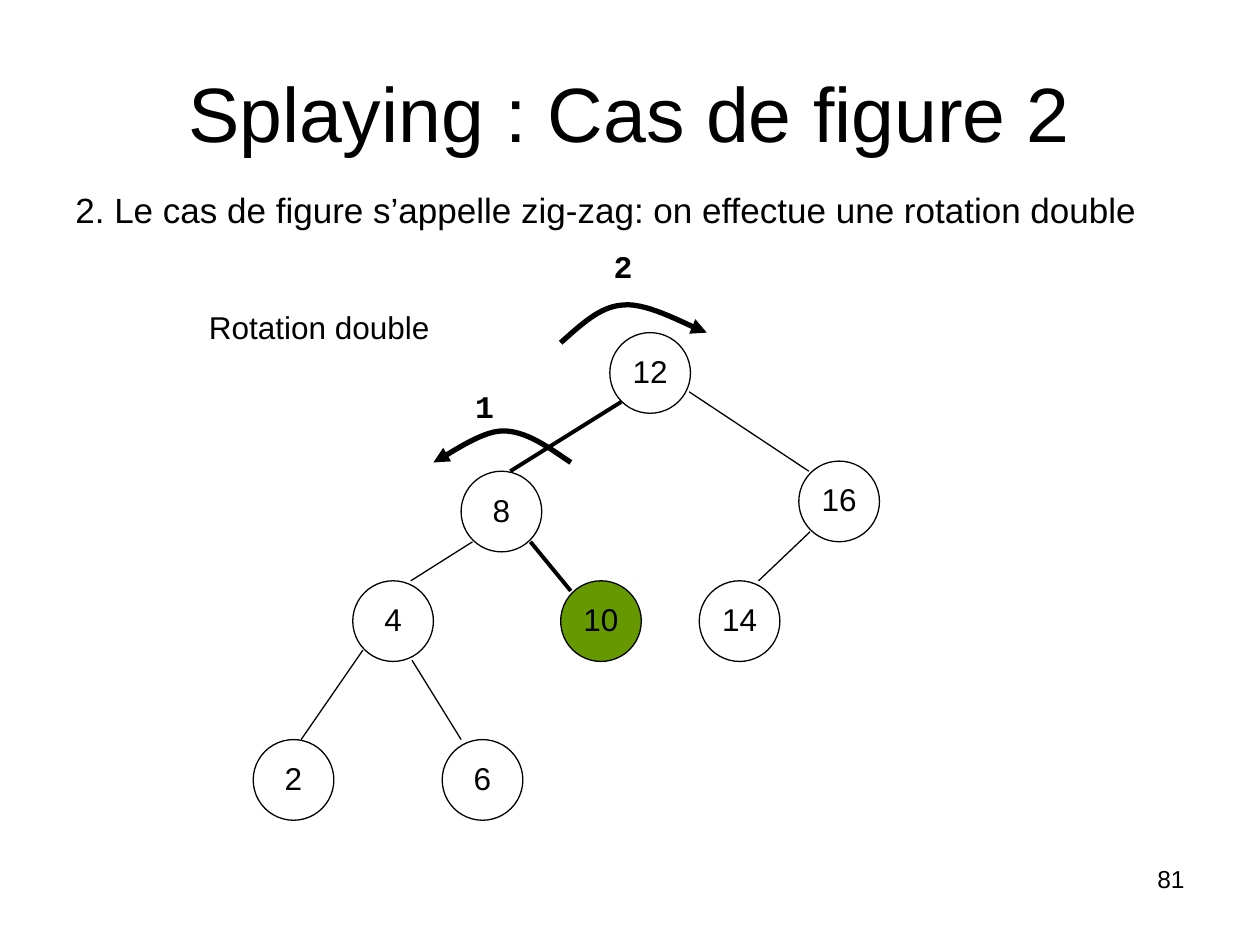
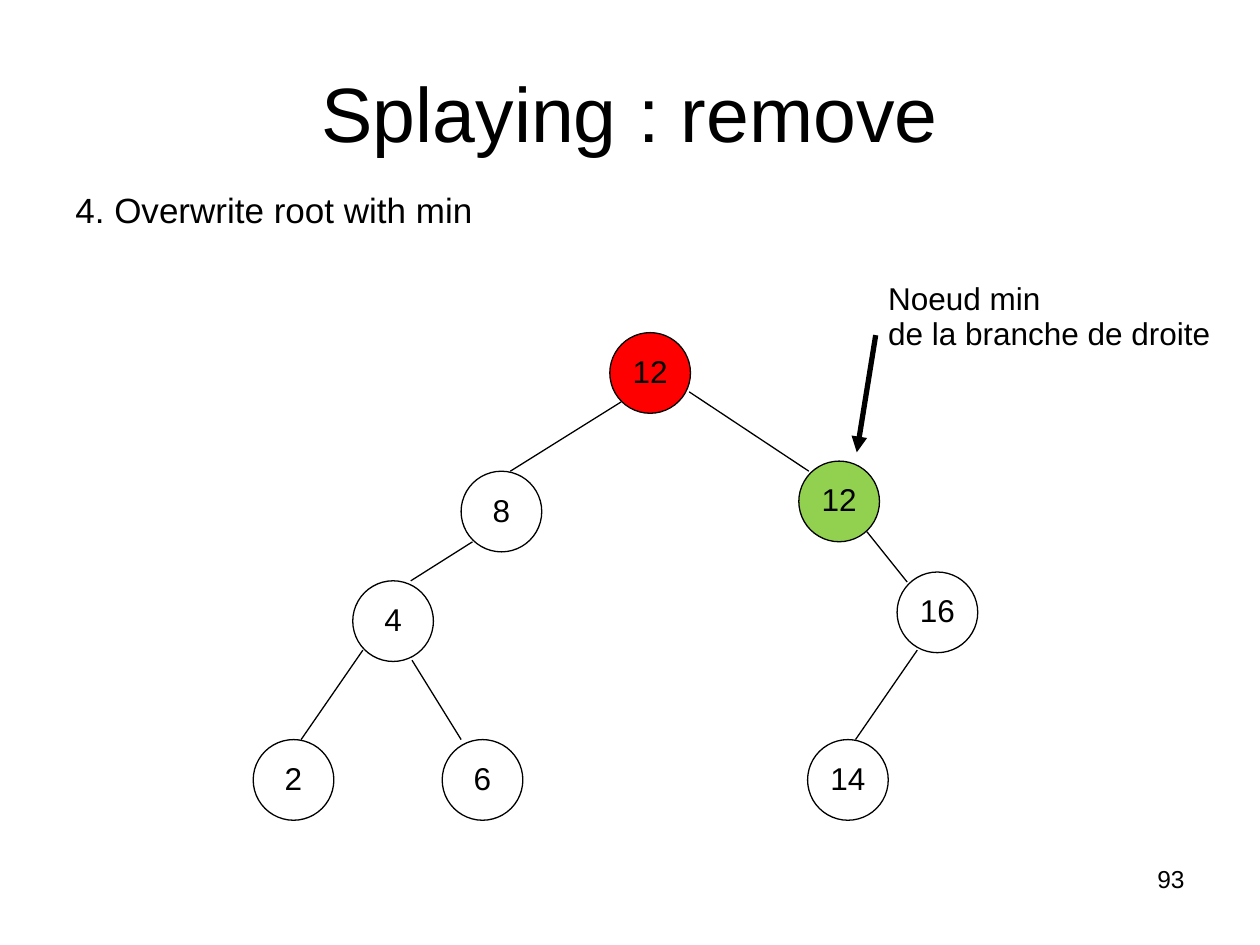
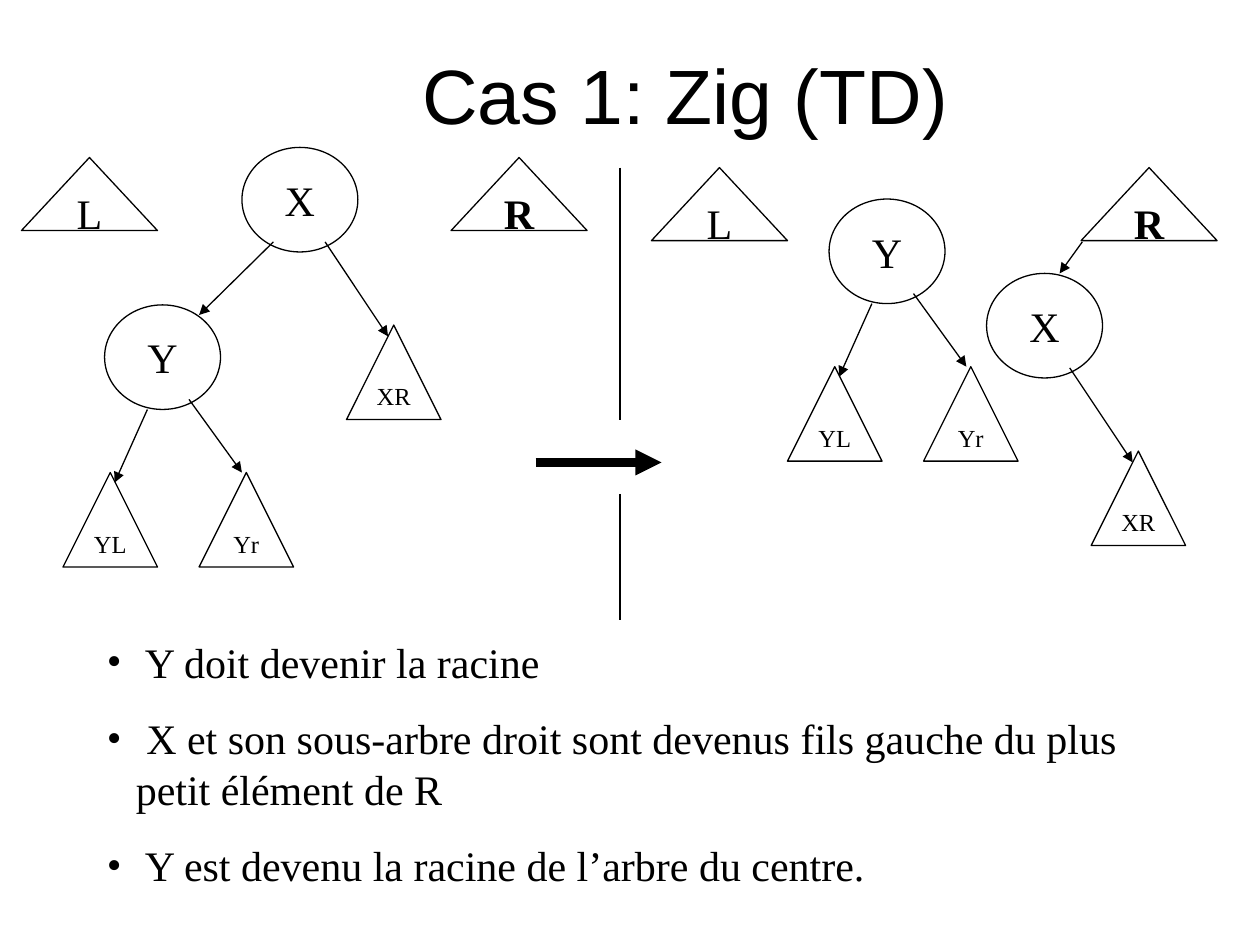
from pptx import Presentation
from pptx.dml.color import RGBColor
from pptx.enum.shapes import MSO_CONNECTOR, MSO_SHAPE
from pptx.enum.text import MSO_ANCHOR, MSO_AUTO_SIZE, PP_ALIGN
from pptx.oxml.ns import qn
from pptx.util import Inches, Pt
from lxml.etree import SubElement

BLACK, WHITE = "000000", "FFFFFF"
GREEN, RED, LIME = "669900", "FF0000", "92D050"
SANS, SERIF, MONO = "Arial", "Times New Roman", "Courier New"
LEFT, CENTER, RIGHT = PP_ALIGN.LEFT, PP_ALIGN.CENTER, PP_ALIGN.RIGHT
THIN, THICK, HEAVY = 0.75, 2.25, 3
TIGHT = 0.93
NODE = 0.64

# Nodes: label, left, top, fill. Edges: x1, y1, x2, y2, width.
COMMON_NODES = [
    ("8", 3.66, 3.74, None), ("4", 2.8, 4.61, None),
    ("2", 2.01, 5.87, None), ("6", 3.51, 5.87, None),
]
COMMON_EDGES = [
    (5.47, 3.11, 6.42, 3.74, THIN), (3.75, 4.3, 3.26, 4.61, THIN),
    (3.27, 5.24, 3.66, 5.87, THIN), (2.88, 5.16, 2.39, 5.87, THIN),
]
ROOT_TO_8 = (4.93, 3.19, 4.05, 3.74)

TREES = [
    {
        "title": "Splaying : Cas de figure 2",
        "step": "2. Le cas de figure s’appelle zig-zag: on effectue une rotation double",
        "number": "81",
        "nodes": [("12", 4.84, 2.64, None), ("10", 4.45, 4.61, GREEN),
                  ("16", 6.34, 3.66, None), ("14", 5.55, 4.61, None)],
        "edges": [(*ROOT_TO_8, THICK), (4.21, 4.3, 4.53, 4.69, THICK),
                  (6.43, 4.22, 6.02, 4.61, THIN)],
    },
    {
        "title": "Splaying : remove",
        "step": "4. Overwrite root with min",
        "number": "93",
        "nodes": [("12", 4.84, 2.64, RED), ("12", 6.34, 3.66, LIME),
                  ("16", 7.12, 4.54, None), ("14", 6.41, 5.87, None)],
        "edges": [(*ROOT_TO_8, THIN), (6.88, 4.22, 7.2, 4.62, THIN),
                  (7.28, 5.16, 6.79, 5.87, THIN)],
    },
]

# Rotation arrows: a start point, then cubic pieces of three points each.
ROTATIONS = [
    [(4.45, 2.72), (4.61, 2.58), (4.76, 2.43), (4.95, 2.42),
     (5.15, 2.4), (5.49, 2.6), (5.61, 2.64)],
    [(4.53, 3.67), (4.35, 3.55), (4.18, 3.42), (3.99, 3.42),
     (3.81, 3.42), (3.53, 3.63), (3.44, 3.67)],
]
ROTATION_LABELS = [("1", 3.67, 3.05), ("2", 4.77, 1.94)]

# Zig panels: top left corners of the L triangle, X and Y.
ZIG_PANELS = [
    {"L": (0.17, 1.25), "X": (1.92, 1.17), "Y": (0.83, 2.42)},
    {"L": (5.17, 1.33), "X": (7.83, 2.17), "Y": (6.58, 1.58)},
]
# Subtrees hung under a node, relative to its corner: label, place, arrow.
SUBTREES = {
    "X": [("XR", (0.83, 1.41), (0.66, 0.75, 1.16, 1.5))],
    "Y": [("YL", (-0.33, 1.33), (0.34, 0.83, 0.08, 1.41)),
          ("Yr", (0.75, 1.33), (0.67, 0.75, 1.09, 1.33))],
}
R_OFFSET = 3.41
ZIG_LINKS = [
    (2.17, 1.92, 1.58, 2.5, THIN, True), (8.59, 1.92, 8.41, 2.17, THIN, True),
    (4.25, 3.67, 5.25, 3.67, 5, True),
    (4.92, 1.33, 4.92, 3.33, THIN, False), (4.92, 3.92, 4.92, 4.92, THIN, False),
]
ZIG_NOTES = [
    " Y doit devenir la racine",
    " X et son sous-arbre droit sont devenus fils gauche du plus petit élément de R",
    " Y est devenu la racine de l’arbre du centre.",
]


def rgb(color):
    return RGBColor.from_string(color)


def write(tf, lines, size, font=SANS, align=LEFT, bold=False, spacing=None):
    for i, line in enumerate(lines):
        p = tf.paragraphs[0] if i == 0 else tf.add_paragraph()
        p.alignment = align
        p.line_spacing = spacing
        r = p.add_run()
        r.text = line
        r.font.size, r.font.name, r.font.bold = Pt(size), font, bold
        r.font.color.rgb = rgb(BLACK)


def add_text(slide, box, lines, size, wrap=True, **style):
    tf = slide.shapes.add_textbox(*map(Inches, box)).text_frame
    tf.word_wrap = wrap
    write(tf, lines, size, **style)
    return tf


def add_title(slide, text, box, anchor, align, spacing=None):
    s = slide.shapes.title
    s.left, s.top, s.width, s.height = map(Inches, box)
    tf = s.text_frame
    tf.auto_size = MSO_AUTO_SIZE.NONE
    tf.vertical_anchor = anchor
    write(tf, [text], 44, align=align, spacing=spacing)


def set_line(line, width, arrow=False):
    line.color.rgb = rgb(BLACK)
    line.width = Pt(width)
    if arrow:
        SubElement(line._get_or_add_ln(), qn("a:tailEnd"), type="triangle")


def add_line(slide, x1, y1, x2, y2, width=THIN, arrow=False):
    c = slide.shapes.add_connector(MSO_CONNECTOR.STRAIGHT, *map(Inches, (x1, y1, x2, y2)))
    set_line(c.line, width, arrow)
    SubElement(c._element.spPr, qn("a:effectLst"))


def add_node(slide, kind, box, label, fill, size, **style):
    s = slide.shapes.add_shape(kind, *map(Inches, box))
    s.shadow.inherit = False
    if fill:
        s.fill.solid()
        s.fill.fore_color.rgb = rgb(fill)
    else:
        s.fill.background()
    set_line(s.line, THIN)
    tf = s.text_frame
    tf.word_wrap = False
    tf.vertical_anchor = MSO_ANCHOR.MIDDLE
    write(tf, [label], size, align=CENTER, **style)


def cubic(points, t):
    u = 1 - t
    weights = (u ** 3, 3 * u * u * t, 3 * u * t * t, t ** 3)
    return tuple(sum(w * pt[axis] for w, pt in zip(weights, points)) for axis in (0, 1))


def add_curved_arrow(slide, points, steps=16):
    """Draw joined cubic pieces; the builder needs whole units, hence EMU."""
    points = [(Inches(x), Inches(y)) for x, y in points]
    curve = [cubic(points[i:i + 4], k / steps)
             for i in range(0, len(points) - 1, 3) for k in range(1, steps + 1)]
    builder = slide.shapes.build_freeform(*points[0])
    builder.add_line_segments(curve, close=False)
    s = builder.convert_to_shape()
    s.shadow.inherit = False
    s.fill.background()
    set_line(s.line, HEAVY, arrow=True)


def add_bullets(slide, box, lines):
    tf = add_text(slide, box, lines, 24, font=SERIF)
    for i, p in enumerate(tf.paragraphs):
        pPr = p._p.get_or_add_pPr()
        pPr.set("marL", str(Inches(0.23)))
        pPr.set("indent", str(-Inches(0.23)))
        if i:
            p.space_before = Pt(15)
        SubElement(pPr, qn("a:buFont"), typeface=SERIF)
        SubElement(pPr, qn("a:buChar"), char="•")


def add_tree_slide(prs, tree):
    slide = prs.slides.add_slide(prs.slide_layouts[5])
    add_title(slide, tree["title"], (0.5, 0.53, 9, 0.79), MSO_ANCHOR.MIDDLE, CENTER, TIGHT)
    add_text(slide, (7.17, 6.83, 2.33, 0.52), [tree["number"]], 14, align=RIGHT, spacing=TIGHT)
    add_text(slide, (0.5, 1.48, 9, 0.42), [tree["step"]], 20, spacing=TIGHT)
    for label, x, y, fill in tree["nodes"] + COMMON_NODES:
        add_node(slide, MSO_SHAPE.OVAL, (x, y, NODE, NODE), label, fill, 18, spacing=TIGHT)
    for edge in tree["edges"] + COMMON_EDGES:
        add_line(slide, *edge)
    return slide


def add_triangle(slide, x, y, label, width, height, size, bold=False):
    add_node(slide, MSO_SHAPE.FLOWCHART_EXTRACT, (x, y, width, height), label, WHITE, size,
             font=SERIF, bold=bold)


def add_zig_panel(slide, panel):
    x, y = panel["L"]
    add_triangle(slide, x, y, "L", 1.08, 0.58, 24)
    add_triangle(slide, x + R_OFFSET, y, "R", 1.08, 0.58, 24, bold=True)
    for name, subtrees in SUBTREES.items():
        x, y = panel[name]
        add_node(slide, MSO_SHAPE.OVAL, (x, y, 0.92, 0.83), name, WHITE, 24, font=SERIF)
        for label, (dx, dy), (x1, y1, x2, y2) in subtrees:
            add_triangle(slide, x + dx, y + dy, label, 0.75, 0.75, 14)
            add_line(slide, x + x1, y + y1, x + x2, y + y2, arrow=True)


def main():
    prs = Presentation()
    prs.slide_width, prs.slide_height = Inches(10), Inches(7.5)

    zigzag, remove = [add_tree_slide(prs, tree) for tree in TREES]
    for points in ROTATIONS:
        add_curved_arrow(zigzag, points)
    for label, x, y in ROTATION_LABELS:
        add_text(zigzag, (x, y, 0.35, 0.39), [label], 18, wrap=False, font=MONO,
                 align=CENTER, bold=True, spacing=TIGHT)
    add_text(zigzag, (1.56, 2.42, 1.97, 0.39), ["Rotation double"], 18, wrap=False,
             spacing=TIGHT)

    add_line(remove, 6.95, 2.66, 6.8, 3.59, HEAVY, arrow=True)
    add_text(remove, (6.95, 2.19, 2.78, 0.67), ["Noeud min", "de la branche de droite"], 18,
             wrap=False, spacing=TIGHT)

    zig = prs.slides.add_slide(prs.slide_layouts[5])
    add_title(zig, "Cas 1: Zig (TD)", (3.25, 0.33, 5.11, 0.84), MSO_ANCHOR.TOP, LEFT)
    for panel in ZIG_PANELS:
        add_zig_panel(zig, panel)
    for link in ZIG_LINKS:
        add_line(zig, *link)
    add_bullets(zig, (0.75, 5, 8.5, 2.11), ZIG_NOTES)

    prs.save("out.pptx")


if __name__ == "__main__":
    main()
